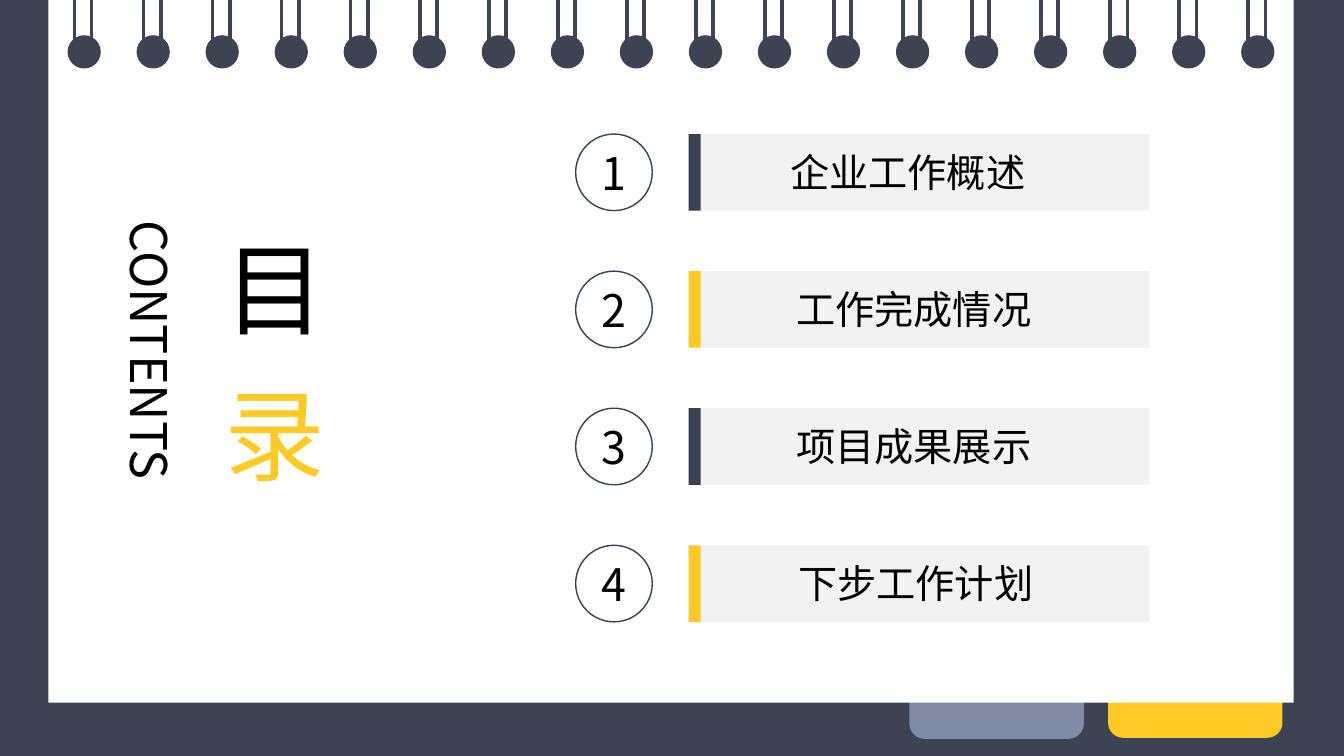
"""Build the contents slide drawn as a ring-bound notepad."""
from lxml import etree
from pptx import Presentation
from pptx.dml.color import RGBColor
from pptx.enum.shapes import MSO_CONNECTOR, MSO_SHAPE
from pptx.enum.text import MSO_ANCHOR, MSO_AUTO_SIZE, PP_ALIGN
from pptx.oxml.ns import qn
from pptx.util import Inches, Pt

RECTANGLE = MSO_SHAPE.RECTANGLE
ROUNDED = MSO_SHAPE.ROUNDED_RECTANGLE
OVAL = MSO_SHAPE.OVAL
STRAIGHT = MSO_CONNECTOR.STRAIGHT
TOP, MIDDLE = MSO_ANCHOR.TOP, MSO_ANCHOR.MIDDLE
GROW = MSO_AUTO_SIZE.SHAPE_TO_FIT_TEXT
CENTER, JUSTIFY = PP_ALIGN.CENTER, PP_ALIGN.JUSTIFY

COLORS = {
    "cover": "3C4353", "slate": "39404F", "yellow": "FFCA25", "lilac": "818BA5",
    "paper": "FFFFFF", "panel": "F2F2F2", "ink": "000000",
}
TITLE_FONT, ITEM_FONT = "Noto Sans CJK JP", "Noto Sans CJK SC"

WIDTH, HEIGHT = 13.33, 7.5
RING_COUNT, RING_LEFT, RING_PITCH, RING_SIZE = 18, 0.67, 11.64 / 17, 0.33
ROW_TOP, ROW_PITCH, ROW_HEIGHT = 1.33, 1.36, 0.76
BADGE_LEFT, PANEL_LEFT, PANEL_WIDTH = 5.71, 6.83, 4.57

presentation = Presentation()
presentation.slide_width, presentation.slide_height = Inches(WIDTH), Inches(HEIGHT)
slide = presentation.slides.add_slide(presentation.slide_layouts[6])


def add_block(kind, left, top, width, height, color=None):
    shape = slide.shapes.add_shape(
        kind, Inches(left), Inches(top), Inches(width), Inches(height))
    shape.shadow.inherit = False
    if color:
        shape.fill.solid()
        shape.fill.fore_color.rgb = RGBColor.from_string(COLORS[color])
        shape.line.fill.background()
    else:
        shape.fill.background()
    return shape


def write(shape, text, size, font_name, color, alignment, anchor=TOP):
    frame = shape.text_frame
    frame.word_wrap = True
    frame.vertical_anchor = anchor
    paragraph = frame.paragraphs[0]
    paragraph.alignment = alignment
    run = paragraph.add_run()
    run.text = text
    run.font.size = Pt(size)
    run.font.name = font_name
    run.font.color.rgb = RGBColor.from_string(COLORS[color])
    east_asian = etree.SubElement(run.font._element, qn("a:ea"))
    east_asian.set("typeface", font_name)


add_block(RECTANGLE, 0, 0, WIDTH, HEIGHT, "cover")
add_block(ROUNDED, 10.99, 6.42, 1.73, 0.9, "yellow")
add_block(ROUNDED, 9.02, 6.43, 1.73, 0.9, "lilac")
add_block(RECTANGLE, 0.48, 0, 12.35, 6.97, "paper")

for ring in range(RING_COUNT):
    ring_left = RING_LEFT + ring * RING_PITCH
    add_block(OVAL, ring_left, 0.35, RING_SIZE, RING_SIZE, "cover")
    for wire_offset in (0.07, 0.24):
        wire_x = Inches(ring_left + wire_offset)
        wire = slide.shapes.add_connector(
            STRAIGHT, wire_x, Inches(-0.02), wire_x, Inches(0.51))
        wire.line.color.rgb = RGBColor.from_string(COLORS["cover"])
        wire.line.width = Pt(2.5)
        etree.SubElement(wire._element.spPr, qn("a:effectLst"))

contents = slide.shapes.add_textbox(Inches(1.03), Inches(2.09), Inches(0.81), Inches(3.13))
write(contents, "CONTENTS", 36, TITLE_FONT, "ink", JUSTIFY)
contents.text_frame._txBody.bodyPr.set("vert", "eaVert")
contents.text_frame.auto_size = GROW

for character, top, color in (("目", 2.2, "ink"), ("录", 3.65, "yellow")):
    title = slide.shapes.add_textbox(Inches(2.04), Inches(top), Inches(1.37), Inches(1.31))
    write(title, character, 72, TITLE_FONT, color, CENTER)
    title.text_frame.auto_size = GROW

items = (
    ("企业工作概述", 7.74, "slate"),
    ("工作完成情况", 7.8, "yellow"),
    ("项目成果展示", 7.8, "slate"),
    ("下步工作计划", 7.82, "yellow"),
)
for row, (label, label_left, accent) in enumerate(items):
    row_top = ROW_TOP + row * ROW_PITCH
    badge = add_block(OVAL, BADGE_LEFT, row_top, ROW_HEIGHT, ROW_HEIGHT)
    badge.line.color.rgb = RGBColor.from_string(COLORS["slate"])
    badge.line.width = Pt(1)
    write(badge, str(row + 1), 32, ITEM_FONT, "ink", CENTER, MIDDLE)
    add_block(RECTANGLE, PANEL_LEFT, row_top, PANEL_WIDTH, ROW_HEIGHT, "panel")
    add_block(RECTANGLE, PANEL_LEFT, row_top, 0.12, ROW_HEIGHT, accent)
    label_box = slide.shapes.add_textbox(
        Inches(label_left), Inches(row_top + 0.09), Inches(2.74), Inches(0.57))
    write(label_box, label, 28, ITEM_FONT, "ink", JUSTIFY)
    label_box.text_frame.auto_size = GROW

presentation.save("out.pptx")
